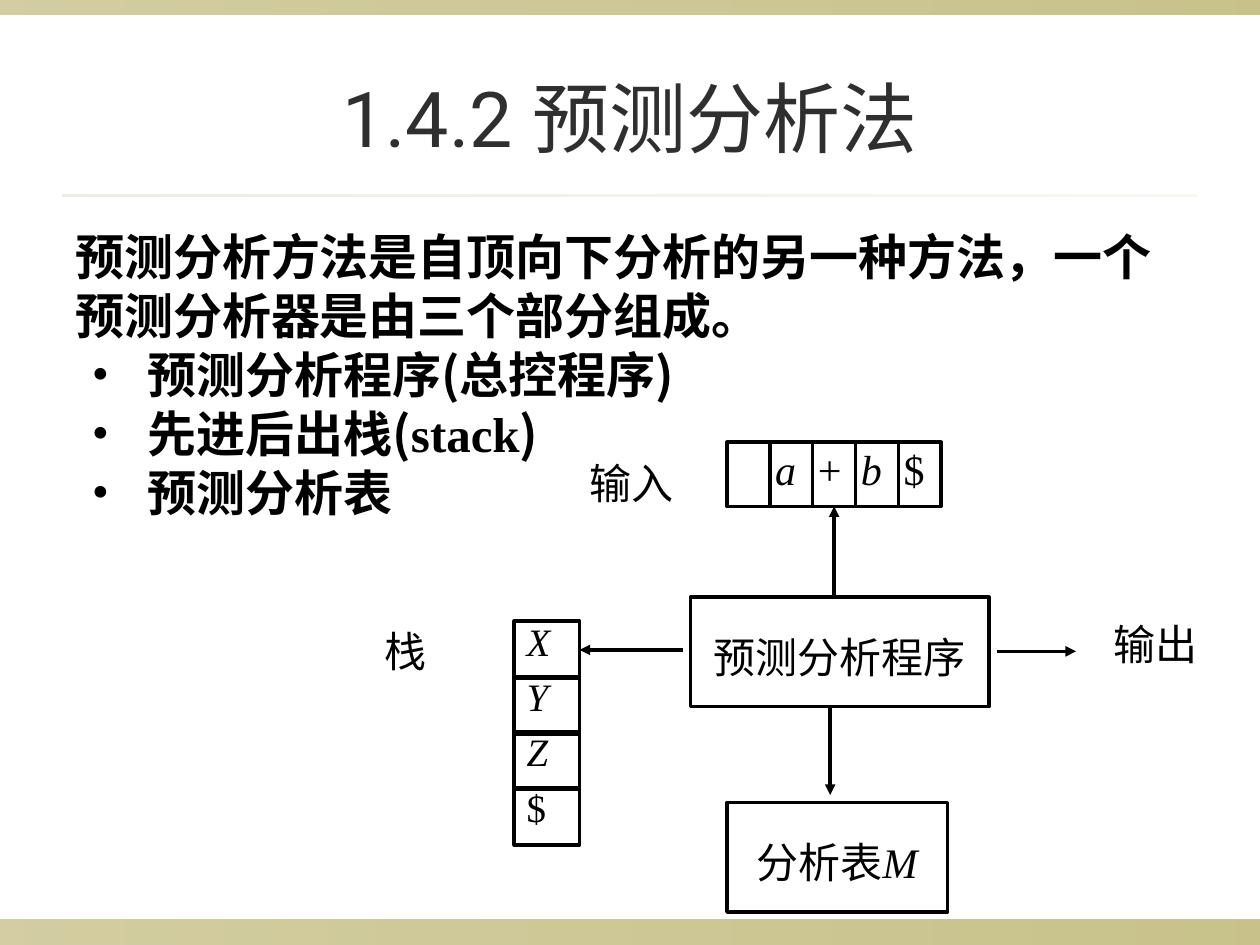
from dataclasses import dataclass

from lxml import etree
from pptx import Presentation
from pptx.dml.color import RGBColor
from pptx.enum import shapes, text
from pptx.oxml.ns import qn
from pptx.util import Pt


@dataclass(frozen=True)
class Theme:
    ink: RGBColor = RGBColor(0x00, 0x00, 0x00)
    heading: RGBColor = RGBColor(0x2F, 0x2F, 0x2F)
    band: RGBColor = RGBColor(0x91, 0x84, 0x15)
    rule: RGBColor = RGBColor(0xDC, 0xD9, 0xCC)
    chinese: str = "Noto Sans CJK SC"
    latin: str = "Times New Roman"
    title_font: str = "Roboto"
    title_size: float = 44
    body_size: float = 28
    label_size: float = 24
    stack_size: float = 22.2
    stroke: float = 2


THEME = Theme()
ALIGN = text.PP_ALIGN
CELL_INSETS = (3, 0.7, 1.4, 0.7)
STACK_INSETS = (7.2, 0.7, 7.2, 3.6)
BLOCK_INSETS = (7.2, 8, 7.2, 3.6)
LABEL_INSETS = (7.2, 3.6, 7.2, 3.6)


def apply(target, values):
    for name, value in values.items():
        setattr(target, name, value)


def add_run(paragraph, words, size, font=THEME.latin, color=THEME.ink, **style):
    run = paragraph.add_run()
    run.text = words
    apply(run.font, {"size": Pt(size), "name": font, **style})
    run.font.color.rgb = color
    east_asian = etree.SubElement(run._r.get_or_add_rPr(), qn("a:ea"))
    east_asian.set("typeface", THEME.chinese)


def set_frame(shape, insets, anchor=text.MSO_ANCHOR.TOP):
    frame = shape.text_frame
    sides = ("margin_left", "margin_top", "margin_right", "margin_bottom")
    apply(frame, {"word_wrap": True, "vertical_anchor": anchor,
                  **{side: Pt(inset) for side, inset in zip(sides, insets)}})
    return frame.paragraphs[0]


def add_band(slide, box, color, opacities):
    band = slide.shapes.add_shape(shapes.MSO_SHAPE.RECTANGLE, *map(Pt, box))
    band.shadow.inherit = False
    band.line.fill.background()
    band.fill.gradient()
    band.fill.gradient_angle = 0
    for stop in band.fill.gradient_stops:
        stop.color.rgb = color
    for tint, opacity in zip(band.element.spPr.iter(qn("a:srgbClr")), opacities):
        etree.SubElement(tint, qn("a:alpha")).set("val", str(opacity * 1000))


def add_outlined(slide, box, insets, runs, size, **layout):
    outlined = slide.shapes.add_shape(shapes.MSO_SHAPE.RECTANGLE, *map(Pt, box))
    outlined.shadow.inherit = False
    outlined.fill.background()
    outlined.line.color.rgb = THEME.ink
    outlined.line.width = Pt(THEME.stroke)
    paragraph = set_frame(outlined, insets)
    apply(paragraph, layout)
    for words, italic in runs:
        add_run(paragraph, words, size, italic=italic)
    return outlined


def add_label(slide, box, words):
    label = slide.shapes.add_textbox(*map(Pt, box))
    paragraph = set_frame(label, LABEL_INSETS)
    paragraph.alignment = ALIGN.JUSTIFY
    add_run(paragraph, words, THEME.label_size)


def add_arrow(slide, start, end):
    arrow = slide.shapes.add_connector(shapes.MSO_CONNECTOR.STRAIGHT, *start, *end)
    arrow.line.color.rgb = THEME.ink
    arrow.line.width = Pt(THEME.stroke)
    properties = arrow.element.spPr
    etree.SubElement(properties.find(qn("a:ln")), qn("a:tailEnd")).set("type", "triangle")
    etree.SubElement(properties, qn("a:effectLst"))
    return arrow


def add_frame_bands(slide, width, height):
    add_band(slide, (0, height - 14.4, width, 14.4), THEME.band, (40, 50))
    add_band(slide, (0, 0, width, 8.6), THEME.band, (40, 50))
    add_band(slide, (36, 110.9, width - 72, 1.4), THEME.rule, (50, 20))


def add_title(slide, box):
    title = slide.shapes.add_textbox(*map(Pt, box))
    paragraph = set_frame(title, LABEL_INSETS, text.MSO_ANCHOR.MIDDLE)
    paragraph.alignment = ALIGN.CENTER
    add_run(paragraph, "1.4.2 预测分析法", THEME.title_size, THEME.title_font, THEME.heading)


def add_body(slide, box):
    body = slide.shapes.add_textbox(*map(Pt, box))
    intro = set_frame(body, LABEL_INSETS)
    intro.line_spacing = Pt(33.7)
    add_run(intro, "预测分析方法是自顶向下分析的另一种方法，一个预测分析器是由三个部分组成。",
            THEME.body_size, THEME.chinese, bold=True)
    components = (
        [("预测分析程序(总控程序)", THEME.chinese)],
        [("先进后出栈(", THEME.chinese), ("stack", THEME.latin), (")", THEME.chinese)],
        [("预测分析表", THEME.chinese)],
    )
    for component in components:
        item = body.text_frame.add_paragraph()
        item.line_spacing = Pt(33.7)
        properties = item._p.get_or_add_pPr()
        properties.set("marL", str(Pt(41.4)))
        properties.set("indent", str(-Pt(32)))
        etree.SubElement(properties, qn("a:buFont")).set("typeface", "Times New Roman")
        etree.SubElement(properties, qn("a:buChar")).set("char", "•")
        for words, font in component:
            add_run(item, words, THEME.body_size, font, bold=True)


def add_input_tape(slide, left, top, pitch, height):
    symbols = (("", False), ("a", True), ("+", False), ("b", True), ("$", False))
    return [
        add_outlined(slide, (left + i * pitch, top, pitch, height), CELL_INSETS,
                     [symbol], THEME.label_size, alignment=ALIGN.JUSTIFY)
        for i, symbol in enumerate(symbols)
    ]


def add_stack(slide, left, top, width, pitch):
    symbols = (("X", True), ("Y", True), ("Z", True), ("$", False))
    return [
        add_outlined(slide, (left, top + i * pitch, width, pitch + 1), STACK_INSETS,
                     [symbol], THEME.stack_size, alignment=ALIGN.JUSTIFY, line_spacing=0.9)
        for i, symbol in enumerate(symbols)
    ]


def add_parser_diagram(slide, left, top):
    tape = add_input_tape(slide, left + 203, top, 24.5, 36.7)
    stack = add_stack(slide, left + 81.4, top + 102.3, 37.4, 31.7)
    blocks = (
        ((182.2, 88.6, 170.6, 62.6), [("预测分析程序", False)]),
        ((203, 205.9, 126, 62.6), [("分析表", False), ("M", True)]),
    )
    for (x, y, width, height), runs in blocks:
        add_outlined(slide, (left + x, top + y, width, height), BLOCK_INSETS, runs,
                     THEME.label_size, alignment=ALIGN.CENTER, line_spacing=1.4)
    labels = (("输入", 117.4, 5.1), ("输出", 416.9, 97.2), ("栈", 0, 101.5))
    for words, x, y in labels:
        add_label(slide, (left + x, top + y, 66, 41), words)

    plus, stack_top = tape[2], stack[0]
    plus_x = plus.left + plus.width // 2
    to_tape = add_arrow(slide, (plus_x, Pt(top + 87.1)), (plus_x, plus.top + plus.height))
    to_tape.end_connect(plus, 2)
    stack_y = stack_top.top + stack_top.height // 2
    to_stack = add_arrow(slide, (Pt(left + 177.8), stack_y),
                         (stack_top.left + stack_top.width, stack_y))
    to_stack.end_connect(stack_top, 3)
    for x1, y1, x2, y2 in ((262, 150.5, 262, 201.6), (357.1, 119.5, 402.5, 119.5)):
        add_arrow(slide, (Pt(left + x1), Pt(top + y1)), (Pt(left + x2), Pt(top + y2)))


def main():
    deck = Presentation()
    apply(deck, {"slide_width": Pt(720), "slide_height": Pt(540)})
    slide = deck.slides.add_slide(deck.slide_layouts[6])
    add_frame_bands(slide, 720, 540)
    add_title(slide, (36, 21.6, 648, 90))
    add_body(slide, (36, 126, 648, 189.4))
    add_parser_diagram(slide, 212.4, 252.7)
    deck.save("out.pptx")


if __name__ == "__main__":
    main()
